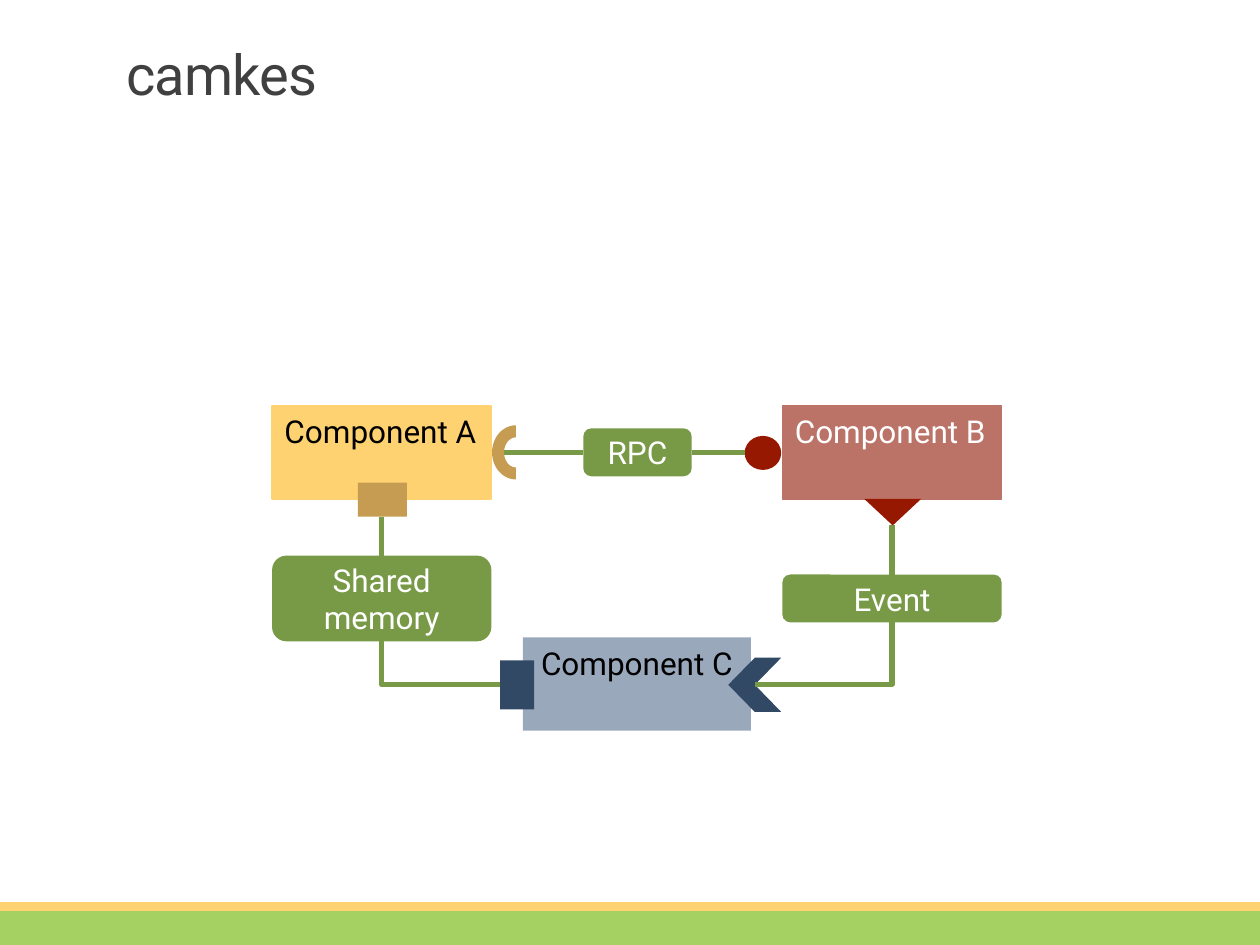
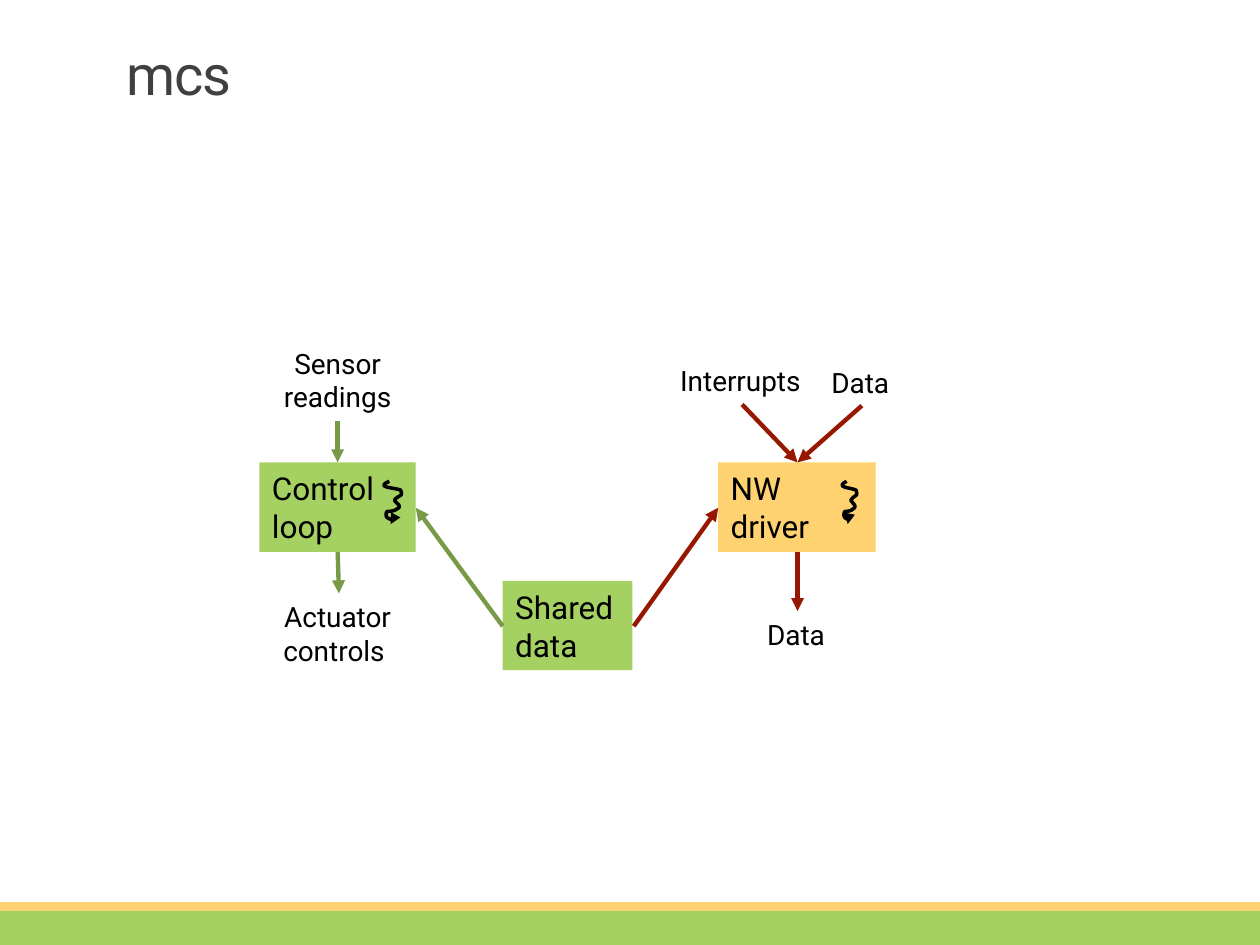
from lxml import etree
from pptx import Presentation, util as u
from pptx.dml.color import RGBColor
from pptx.enum import shapes as es, text as et
from pptx.oxml.ns import qn

HUES = {
    "lime": "A5D062", "sun": "FFD271", "leaf": "789A47", "gold": "C59C52",
    "rose": "BB7267", "red": "961800", "mist": "9AA8BC", "navy": "324965",
    "black": "000000", "white": "FFFFFF", "grey": "404040",
}
FONT = "Roboto"
KIND = es.MSO_SHAPE
LEFT, MID = et.PP_ALIGN.LEFT, et.PP_ALIGN.CENTER
TOP, CORE = et.MSO_ANCHOR.TOP, et.MSO_ANCHOR.MIDDLE

# Cubic curves of the thread sign: a start, then three points per curve
START = (0.12, 0)
CURVES = [
    [(0, 0.05), (0.16, 0.05), (0.21, 0.07)],
    [(0.23, 0.13), (0.2, 0.1), (0.16, 0.15)],
    [(0.17, 0.17), (0.23, 0.2), (0.18, 0.22)],
    [(0.16, 0.24), (0.1, 0.24), (0.1, 0.24)],
    [(0.08, 0.29), (0.11, 0.3), (0.17, 0.31)],
    [(0.16, 0.35), (0.17, 0.34), (0.13, 0.34)],
]


def hue(name):
    return RGBColor.from_string(HUES[name])


def write(frame, lines, size, color, align):
    for n, line in enumerate(lines):
        para = frame.paragraphs[0] if n == 0 else frame.add_paragraph()
        para.alignment = align[n] if isinstance(align, list) else align
        run = para.add_run()
        run.text = line
        font = run.font
        font.name, font.size = FONT, u.Pt(size)
        font.color.rgb = hue(color)


def stroke(shape, color, width, arrow):
    shape.line.color.rgb = hue(color)
    shape.line.width = u.Pt(width)
    if arrow:
        line = shape.line._get_or_add_ln()
        etree.SubElement(line, qn("a:tailEnd"), type="triangle")


def bezier(a, b, c, d, steps=8):
    """Points on a cubic curve, without its start."""
    for n in range(1, steps + 1):
        t = n / steps
        s = 1 - t
        yield tuple(s**3 * i + 3 * s * s * t * j + 3 * s * t * t * k + t**3 * l
                    for i, j, k, l in zip(a, b, c, d))


class Area:
    """A region of a slide; lengths are inches from its top left corner."""

    def __init__(self, slide, left=0, top=0):
        self.shapes, self.left, self.top = slide.shapes, left, top

    def spot(self, x, y):
        return u.Inches(self.left + x), u.Inches(self.top + y)

    def form(self, kind, x, y, w, h, fill, turn=0, edge=False):
        shape = self.shapes.add_shape(kind, *self.spot(x, y), u.Inches(w), u.Inches(h))
        shape.shadow.inherit = False
        shape.fill.solid()
        shape.fill.fore_color.rgb = hue(fill)
        shape.rotation = turn
        if edge:
            stroke(shape, fill, 1, False)
        else:
            shape.line.fill.background()
        return shape

    def block(self, kind, x, y, w, h, fill, lines, color="black",
              align=LEFT, anchor=CORE, edge=False):
        shape = self.form(kind, x, y, w, h, fill, edge=edge)
        frame = shape.text_frame
        frame.word_wrap, frame.vertical_anchor = True, anchor
        write(frame, lines, 18, color, align)
        return shape

    def pill(self, x, y, w, h, name):
        return self.block(KIND.ROUNDED_RECTANGLE, x, y, w, h, "leaf", [name],
                          "white", MID)

    def label(self, x, y, w, h, lines, align=LEFT):
        frame = self.shapes.add_textbox(
            *self.spot(x, y), u.Inches(w), u.Inches(h)).text_frame
        frame.word_wrap = False
        frame.auto_size = et.MSO_AUTO_SIZE.SHAPE_TO_FIT_TEXT
        write(frame, lines, 16, "black", align)

    def link(self, a, b, color="leaf", width=3, arrow=False, bent=False):
        kind = es.MSO_CONNECTOR.ELBOW if bent else es.MSO_CONNECTOR.STRAIGHT
        line = self.shapes.add_connector(kind, *self.spot(*a), *self.spot(*b))
        stroke(line, color, width, arrow)
        props = line.element.spPr
        etree.SubElement(props, qn("a:effectLst"))
        if bent:
            props.find(qn("a:prstGeom")).set("prst", "bentConnector2")
        return line

    def thread(self, x, y, ratio=1):
        dots, last = [], START
        for curve in CURVES:
            dots += bezier(last, *curve)
            last = curve[-1]
        first, *rest = [self.spot(x + i * ratio, y + j) for i, j in [START] + dots]
        pen = self.shapes.build_freeform(*first)
        pen.add_line_segments(rest, close=False)
        shape = pen.convert_to_shape()
        shape.shadow.inherit = False
        shape.fill.background()
        stroke(shape, "black", 2, True)


def dress(prs, layout, slide):
    """Set the shared title place and move the foot bands to the master."""
    title = layout.placeholders[0]
    title.left, title.top, title.width, title.height = map(
        u.Inches, (0.9, 0.35, 6.22, 0.55))
    tree = prs.slide_master.shapes.element
    area = Area(slide)
    bands = [(7.21, 0.29, "lime"), (7.16, 0.07, "sun")]
    for n, (top, high, fill) in enumerate(bands):
        band = area.form(KIND.RECTANGLE, 0, top, 10, high, fill).element
        band.nvSpPr.cNvPr.set("id", str(90 + n))
        tree.insert(2 + n, band)


def head(slide, name):
    frame = slide.shapes.title.text_frame
    frame.vertical_anchor = et.MSO_ANCHOR.BOTTOM
    frame.word_wrap = True
    write(frame, [name], 32, "grey", LEFT)
    para = frame.paragraphs[0]
    para.line_spacing = 0.85
    para.runs[0].font._element.set("spc", "-50")


def camkes(slide, left, top):
    area = Area(slide, left, top)
    box = KIND.RECTANGLE
    wide, high = 1.74, 0.74
    mid, far = wide / 2, 4.05
    rail, base = 0.37, 2.21

    area.block(box, 0, 0, wide, high, "sun", ["Component A"], anchor=TOP, edge=True)
    area.block(box, 1.99, 1.84, 1.81, high, "mist", ["Component C"],
               align=MID, anchor=TOP)
    port = area.form(box, 1.81, 2.02, 0.27, 0.39, "navy")
    area.form(KIND.CHEVRON, 3.62, 2, 0.42, 0.43, "navy", 180)
    area.block(box, far, 0, wide, high, "rose", ["Component B"], "white",
               anchor=TOP, edge=True)
    area.form(KIND.OVAL, 3.75, 0.24, 0.29, 0.27, "red")

    shared = area.pill(0, 1.19, wide, 0.68, "Shared memory")
    area.link((mid, 0.88), (mid, 1.19))
    bend = area.link((1.81, base), (mid, 1.87), bent=True)
    bend.begin_connect(port, 1)
    bend.end_connect(shared, 2)

    area.link((1.75, rail), (2.47, rail))
    area.pill(2.47, 0.18, 0.86, 0.38, "RPC")
    area.link((3.33, rail), (3.75, rail))
    area.form(box, 0.68, 0.61, 0.39, 0.27, "gold")
    area.form(KIND.BLOCK_ARC, 1.72, 0.18, 0.43, 0.38, "gold", 270)

    event = area.pill(far, 1.34, wide, 0.38, "Event")
    area.link((far + mid, 0.95), (far + mid, 1.34))
    bend = area.link((3.83, base), (far + mid, 1.72), bent=True)
    bend.end_connect(event, 2)
    area.form(KIND.ISOSCELES_TRIANGLE, 4.7, 0.74, 0.45, 0.21, "red", 180)


def mcs(slide, left, top):
    area = Area(slide, left, top)
    for x, y, w, fill, lines in [
        (0, 0.97, 1.24, "lime", ["Control loop"]),
        (3.64, 0.97, 1.25, "sun", ["NW", "driver"]),
        (1.93, 1.91, 1.03, "lime", ["Shared", "data"]),
    ]:
        area.block(KIND.RECTANGLE, x, y, w, 0.71, fill, lines)
    area.thread(0.91, 1.12)
    area.thread(4.56, 1.12, 0.83)

    area.label(0.09, 0, 1.06, 0.64, ["Sensor", "readings"], MID)
    area.label(0.09, 2.01, 1.06, 0.64, ["Actuator", "controls"], [MID, LEFT])
    area.label(3.24, 0.14, 1.17, 0.37, ["Interrupts"])
    for x, y in [(4.44, 0.15), (3.93, 2.15)]:
        area.label(x, y, 0.68, 0.37, ["Data"])

    arrows = {
        "leaf": [((0.62, 0.64), (0.62, 0.97)), ((0.62, 1.68), (0.63, 2.01)),
                 ((1.93, 2.27), (1.24, 1.33))],
        "red": [((4.27, 1.68), (4.27, 2.15)), ((3.83, 0.51), (4.27, 0.97)),
                ((4.78, 0.52), (4.27, 0.97)), ((2.97, 2.27), (3.64, 1.33))],
    }
    for color, pairs in arrows.items():
        for a, b in pairs:
            area.link(a, b, color, 2.5, arrow=True)


def main():
    prs = Presentation()
    prs.slide_width, prs.slide_height = u.Inches(10), u.Inches(7.5)
    layout = prs.slide_layouts[5]
    first, second = [prs.slides.add_slide(layout) for _ in range(2)]
    dress(prs, layout, first)
    head(first, "camkes")
    camkes(first, 2.16, 3.22)
    head(second, "mcs")
    mcs(second, 2.06, 2.7)
    prs.save("out.pptx")


if __name__ == "__main__":
    main()
